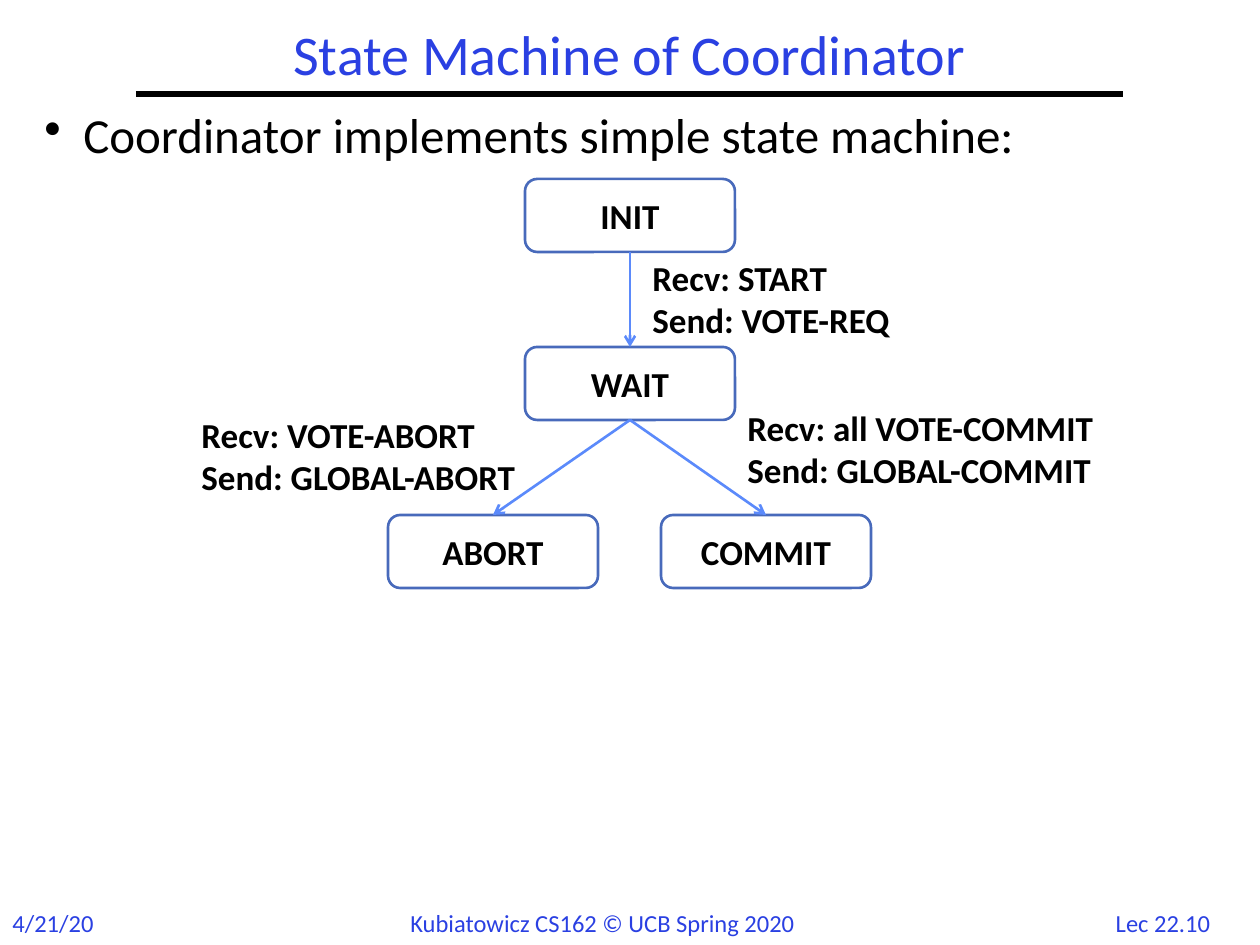
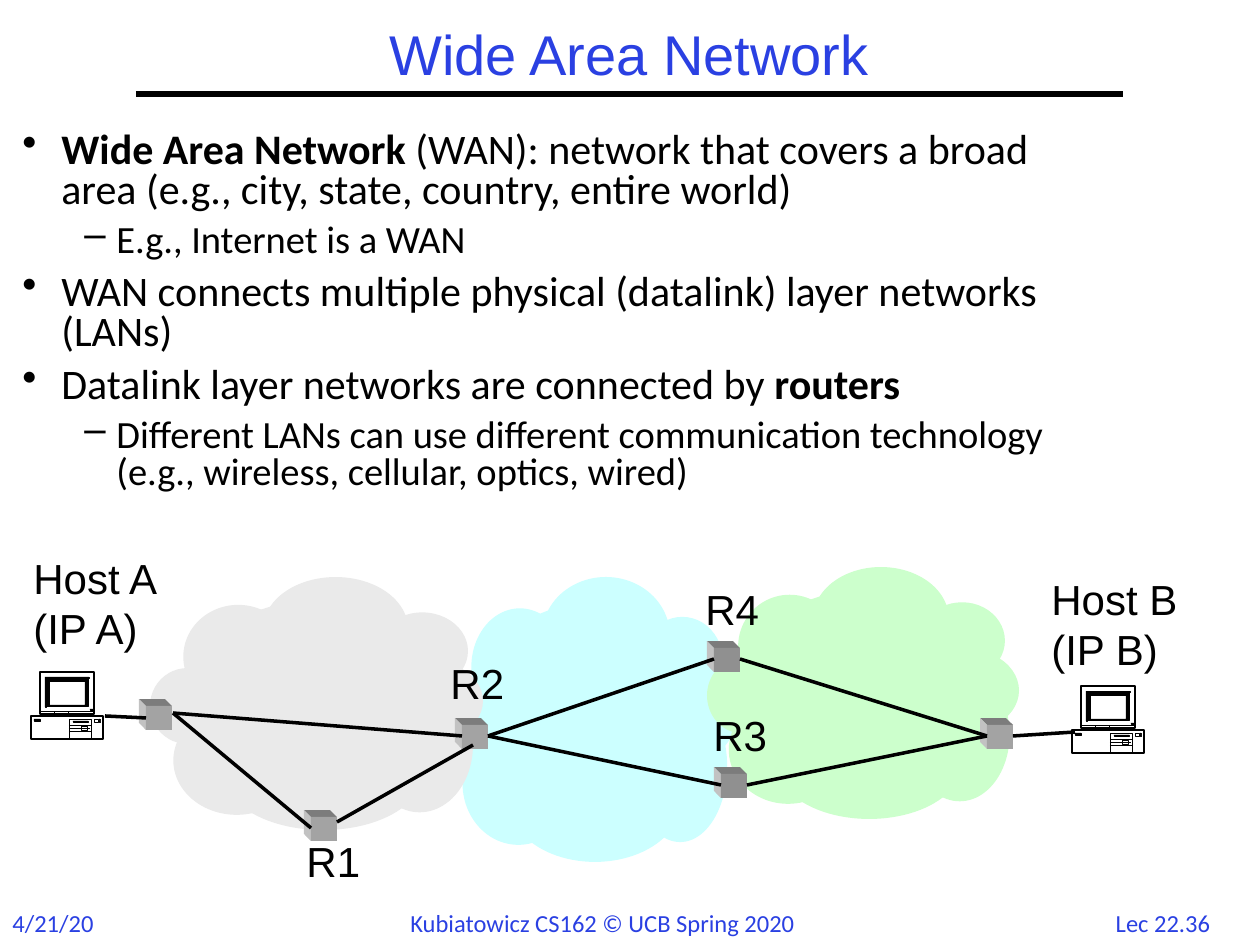
from pptx import Presentation
from pptx.dml.color import RGBColor
from pptx.enum.shapes import MSO_CONNECTOR as Link, MSO_SHAPE as Kind
from pptx.enum.text import MSO_ANCHOR as Anchor, PP_ALIGN as Align
from pptx.oxml.xmlchemy import OxmlElement as Tag
from pptx.util import Pt

PX = 914400 / 126
HEX = {
    "blue": "2A40E2", "ink": "000000", "white": "FFFFFF",
    "edge": "486ABB", "arrow": "5B8AFB",
    "gray": "EAEAEA", "cyan": "CCFFFF", "green": "CCFFCC",
    "front": "A3A3A3", "dim": "909090", "top": "7C7C7C", "side": "C2C2C2",
}
# Ellipses of a cloud, in percent of its box: left, top, width, height
LOBES = [
    (34, 0, 43.5, 41), (10, 11, 33, 41), (0, 36, 22.5, 30),
    (7, 51, 38, 43), (22.5, 57, 59, 43), (68, 14, 27.5, 30.5),
    (68, 33, 32, 32), (65, 40, 32, 53), (7, 9, 89, 89),
]
STEEL = [(15, 44), (0, 44), (0, 67), (72, 67), (72, 44), (57, 44),
         (57, 42), (63, 42), (63, 0), (9, 0), (9, 42), (15, 42)]
GLASS = [(18, 33), (18, 9), (54, 9), (54, 33)]
BEZEL = [(15, 34), (57, 34), (57, 6), (58, 6), (58, 5), (14, 5),
         (14, 35), (15, 35)]


def emu(*vals):
    return [round(v * PX) for v in vals]


def rgb(name):
    return RGBColor.from_string(HEX[name])


def style(shape, fill=None, edge=None, width=1):
    shape.shadow.inherit = False
    if fill:
        shape.fill.solid()
        shape.fill.fore_color.rgb = rgb(fill)
    else:
        shape.fill.background()
    if edge:
        shape.line.color.rgb = rgb(edge)
        shape.line.width = Pt(width)
    else:
        shape.line.fill.background()
    return shape


def block(parts, kind, box, **look):
    return style(parts.add_shape(kind, *emu(*box)), **look)


def outline(parts, rings, **look):
    """Draw closed rings of points as one shape."""
    pen = parts.build_freeform(*rings[0][0], scale=PX)
    for i, ring in enumerate(rings):
        if i:
            pen.move_to(*ring[0])
        pen.add_line_segments(ring[1:], close=True)
    return style(pen.convert_to_shape(), **look)


def wire(parts, start, end, color="ink", width=2, head=False):
    line = parts.add_connector(Link.STRAIGHT, *emu(*start, *end))
    line.line.color.rgb = rgb(color)
    line.line.width = Pt(width)
    if head:
        tip = Tag("a:tailEnd")
        tip.set("type", "arrow")
        line.line._get_or_add_ln().append(tip)
    line._element.spPr.append(Tag("a:effectLst"))


def paint(frame, size, color="ink", face="Calibri", bold=False, align=Align.LEFT):
    for para in frame.paragraphs:
        para.alignment = align
        for run in para.runs:
            font = run.font
            font.size, font.name, font.bold = Pt(size), face, bold
            font.color.rgb = rgb(color)


def label(slide, box, text, size, wrap=False, **look):
    frame = slide.shapes.add_textbox(*emu(*box)).text_frame
    frame.word_wrap = wrap
    frame.text = text
    paint(frame, size, **look)


def base(deck, title, number, face="Calibri"):
    """Add a slide with its title, rule and footer."""
    slide = deck.slides.add_slide(deck.slide_layouts[5])
    head = slide.shapes.title
    head.left, head.top, head.width, head.height = emu(136, 21, 987, 73)
    frame = head.text_frame
    frame.text = title
    frame.vertical_anchor = Anchor.MIDDLE
    frame.paragraphs[0].line_spacing = 0.9
    paint(frame, 32, "blue", face, align=Align.CENTER)
    wire(slide.shapes, (136, 94), (1123, 94), width=3)
    label(slide, (0, 902, 107, 43), "4/21/20", 14, color="blue")
    label(slide, (398, 902, 464, 43), "Kubiatowicz CS162 © UCB Spring 2020",
          14, color="blue")
    label(slide, (1095, 902, 136, 42), f"Lec 22.{number}", 14,
          color="blue", align=Align.CENTER)
    return slide


def bullets(slide, box, items, sizes, spacing):
    """Write items of (level, runs), where a run is (text, bold)."""
    frame = slide.shapes.add_textbox(*emu(*box)).text_frame
    frame.word_wrap = True
    for i, (level, runs) in enumerate(items):
        para = frame.add_paragraph() if i else frame.paragraphs[0]
        size = sizes[level]
        indent, hang, mark = [(39, 39, "•"), (94, 32, "–")][level]
        props = para._p.get_or_add_pPr()
        props.set("marL", str(round(indent * PX)))
        props.set("indent", str(round(-hang * PX)))
        sign = Tag("a:buChar")
        sign.set("char", mark)
        props.append(sign)
        para.line_spacing = spacing
        if i:
            para.space_before = Pt(round(size * 0.3, 1))
        for text, bold in runs:
            run = para.add_run()
            run.text = text
            run.font.size, run.font.name, run.font.bold = Pt(size), "Calibri", bold
            run.font.color.rgb = rgb("ink")


def states(slide, left, top):
    """Draw the state chart; the box starts at left, top."""
    wide, high, step = 210, 73, 168
    spots = {"INIT": (137, 0), "WAIT": (137, step),
             "ABORT": (0, 2 * step), "COMMIT": (273, 2 * step)}
    for name, (x, y) in spots.items():
        node = block(slide.shapes, Kind.ROUNDED_RECTANGLE,
                     (left + x, top + y, wide, high), edge="edge", width=1.5)
        frame = node.text_frame
        frame.margin_left = frame.margin_right = 0
        frame.margin_top = frame.margin_bottom = 0
        frame.vertical_anchor = Anchor.MIDDLE
        frame.text = name
        paint(frame, 20, bold=True, align=Align.CENTER)
    for src, dst in [("INIT", "WAIT"), ("WAIT", "ABORT"), ("WAIT", "COMMIT")]:
        (x1, y1), (x2, y2) = spots[src], spots[dst]
        mid = left + wide // 2
        wire(slide.shapes, (mid + x1, top + y1 + high), (mid + x2, top + y2),
             "arrow", 1.5, head=True)
    for x, y, width, recv, send in [
        (252, 71, 315, "START", "VOTE-REQ"),
        (-199, 228, 399, "VOTE-ABORT", "GLOBAL-ABORT"),
        (347, 221, 399, "all VOTE-COMMIT", "GLOBAL-COMMIT"),
    ]:
        label(slide, (left + x, top + y, width, 97),
              f"Recv: {recv}\nSend: {send}", 20, wrap=True, bold=True)


def cloud(slide, box, color):
    left, top, wide, high = box
    parts = slide.shapes.add_group_shape().shapes
    for x, y, w, h in LOBES:
        block(parts, Kind.OVAL, (left + x * wide / 100, top + y * high / 100,
                                 w * wide / 100, h * high / 100), fill=color)


def router(slide, x, y, color):
    """Draw a cube whose front face starts at x, y."""
    parts = slide.shapes.add_group_shape().shapes
    w, h, d = 26, 24, 7
    outline(parts, [[(x, y), (x - d, y - d), (x + w - d, y - d), (x + w, y)]],
            fill="top")
    outline(parts, [[(x, y), (x - d, y - d), (x - d, y + h - d), (x, y + h)]],
            fill="side")
    block(parts, Kind.RECTANGLE, (x, y, w, h), fill=color)


def host(slide, left, top):
    """Draw a desktop computer from its top left corner."""
    parts = slide.shapes.add_group_shape().shapes

    def move(ring):
        return [(left + x, top + y) for x, y in ring]

    def rect(x1, y1, x2, y2):
        return [(x1, y1), (x2, y1), (x2, y2), (x1, y2)]

    def form(rings, fill, width):
        outline(parts, [move(r) for r in rings], fill=fill, edge="ink", width=width)

    def rule(x1, y1, x2, y2, width=0.38):
        wire(parts, *move([(x1, y1), (x2, y2)]), width=width)

    form([STEEL], "white", 1.25)
    for y in (42, 44):
        rule(15, y, 57, y, 1.25)
    form([rect(38, 47, 60, 66), rect(63, 47, 67, 50)], "white", 0.38)
    for y, end in [(53, 60), (56, 59), (59, 60)]:
        rule(38, y, end, y)
    block(parts, Kind.RECTANGLE, (left + 50, top + 54, 6, 4), edge="ink", width=0.38)
    marks = [(59, 37, 62, 38), (3, 47, 9, 49), (42, 49, 57, 50),
             (68, 47, 69, 48), (68, 49, 69, 50)]
    form([GLASS, BEZEL] + [rect(*m) for m in marks], "ink", 0.38)
    rule(9, 39, 63, 39)
    for x in (23, 37):
        rule(x, 42, x, 39)


def network(slide, left, top):
    """Draw the hosts, clouds and routers; the box starts at left, top."""
    def at(x, y, *size):
        return (left + x, top + y, *size)

    for box, color in [((411, 32, 294, 285), "cyan"), ((119, 32, 333, 253), "gray"),
                       ((676, 22, 312, 252), "green")]:
        cloud(slide, at(*box), color)
    for x, y, color in [(115, 161, "front"), (431, 180, "front"), (280, 272, "front"),
                        (683, 103, "dim"), (690, 229, "dim"), (956, 180, "front")]:
        router(slide, *at(x, y), color)
    for x, y in [(0, 127), (1041, 141)]:
        host(slide, *at(x, y))
    for x1, y1, x2, y2 in [
        (74, 171, 115, 173), (142, 168, 431, 191), (142, 168, 280, 283),
        (306, 277, 442, 200), (457, 191, 683, 114), (457, 191, 690, 240),
        (709, 114, 956, 191), (716, 240, 956, 191), (982, 191, 1044, 187),
    ]:
        wire(slide.shapes, at(x1, y1), at(x2, y2))
    for x, y, text in [(-10, 1, "Host A\n(IP A)"), (1008, 22, "Host B\n(IP B)"),
                       (263, 284, "R1"), (407, 106, "R2"),
                       (670, 158, "R3"), (662, 32, "R4")]:
        size = (152, 115) if "\n" in text else (79, 64)
        label(slide, at(x, y, *size), text, 24, face="Arial")


def main():
    deck = Presentation()
    deck.slide_width, deck.slide_height = emu(1260, 945)

    slide = base(deck, "State Machine of Coordinator", 10)
    bullets(slide, (32, 105, 1134, 70),
            [(0, [("Coordinator implements simple state machine:", False)])],
            (28,), 0.9)
    states(slide, 388, 179)

    slide = base(deck, "Wide Area Network", 36, "Arial")
    bullets(slide, (10, 126, 1092, 399), [
        (0, [("Wide Area Network", True),
             (" (WAN): network that covers a broad area "
              "(e.g., city, state, country, entire world)", False)]),
        (1, [("E.g., Internet is a WAN", False)]),
        (0, [("WAN connects multiple physical (datalink) layer networks (LANs)",
              False)]),
        (0, [("Datalink layer networks are connected by ", False),
             ("routers", True)]),
        (1, [("Different LANs can use different communication technology "
              "(e.g., wireless, cellular, optics, wired)", False)]),
    ], (24, 22), 0.8)
    network(slide, 31, 545)
    deck.save("out.pptx")


if __name__ == "__main__":
    main()
